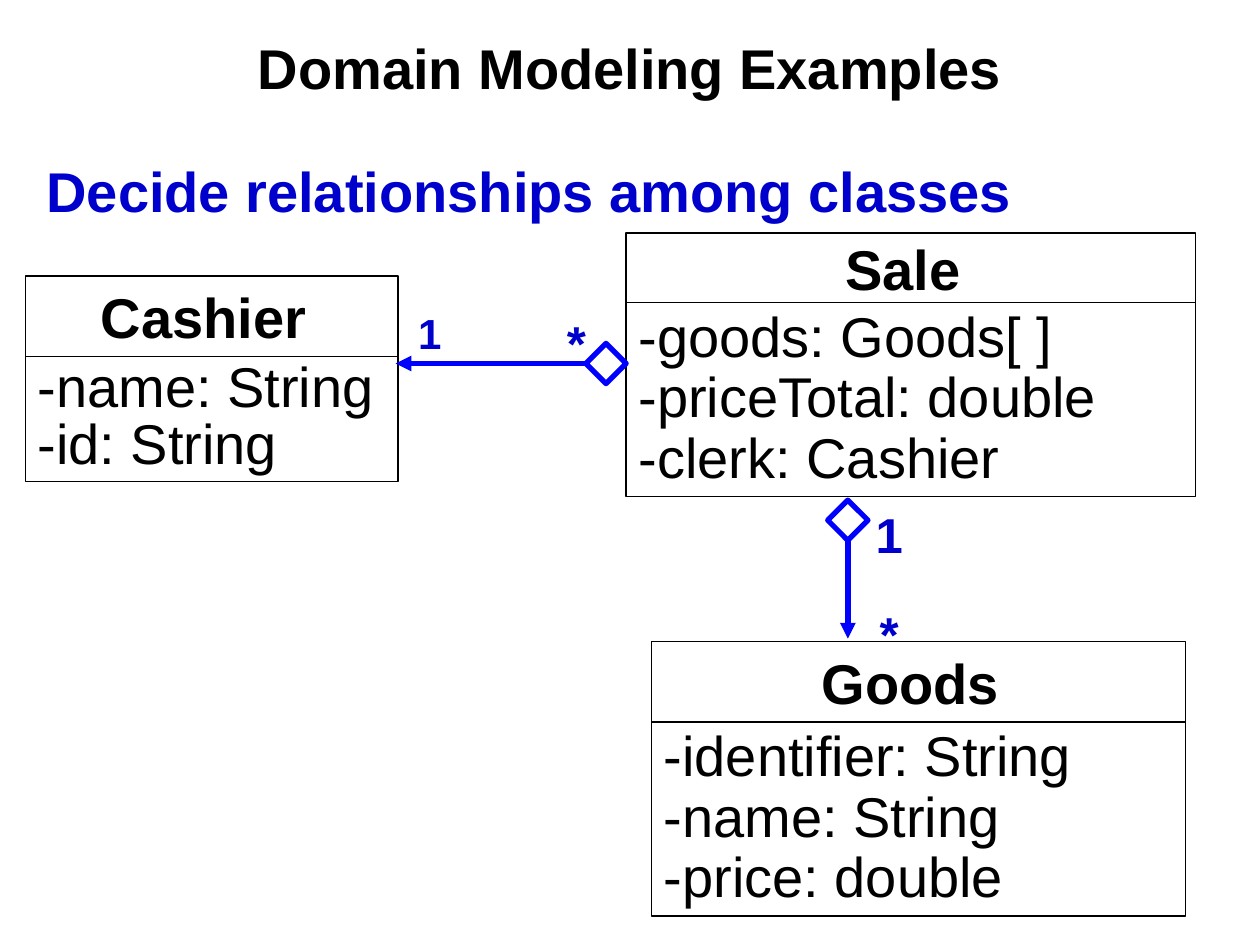
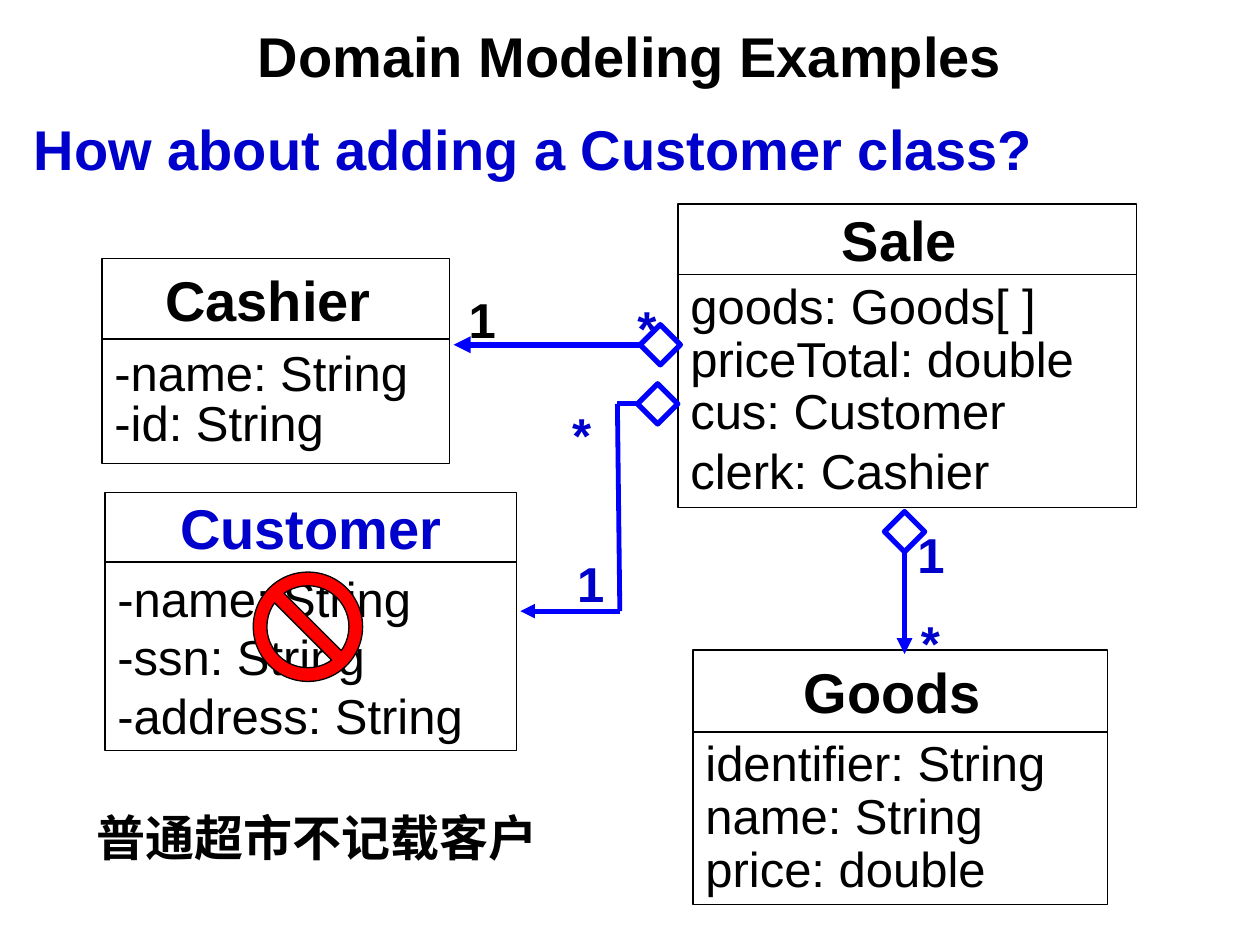
from dataclasses import dataclass
from itertools import pairwise

from lxml.etree import SubElement
from pptx import Presentation
from pptx.dml.color import RGBColor
from pptx.enum.shapes import MSO_CONNECTOR, MSO_SHAPE
from pptx.enum.text import MSO_ANCHOR, PP_ALIGN
from pptx.oxml.ns import qn
from pptx.util import Pt

BLACK = RGBColor(0x00, 0x00, 0x00)
WHITE = RGBColor(0xFF, 0xFF, 0xFF)
NAVY = RGBColor(0x00, 0x00, 0xCC)
BLUE = RGBColor(0x00, 0x00, 0xFF)
RED = RGBColor(0xFF, 0x00, 0x00)
FONT = "Arial"
CJK_FONT = "Noto Sans CJK SC"
DIAMOND = 23
LEFT, BOTTOM = 1, 2  # connection sites


@dataclass(frozen=True)
class ClassBox:
    name: str
    attributes: tuple[str, ...]
    left: float
    top: float
    width: float
    name_height: float
    body_height: float
    size: float = 32
    spacing: float = 0.9
    color: RGBColor = BLACK
    last_gap: float = 0


@dataclass(frozen=True)
class Label:
    text: str
    left: float
    top: float
    size: float = 28
    color: RGBColor = NAVY


@dataclass(frozen=True)
class Aggregation:
    """A diamond at left, top and a line from one of its corners through points."""
    left: float
    top: float
    site: int
    points: tuple[tuple[float, float], ...]
    labels: tuple[Label, ...]
    weight: float = 3


@dataclass(frozen=True)
class DiagramSlide:
    title_top: float
    heading: str
    heading_left: float
    heading_top: float
    boxes: tuple[ClassBox, ...]
    aggregations: tuple[Aggregation, ...]


SLIDES = (
    DiagramSlide(
        21.6, "Decide relationships among classes", 26.6, 89.4,
        (
            ClassBox("Cashier ", ("-name: String", "-id: String"),
                     14.4, 157.7, 213.1, 46.1, 71.3, spacing=0.85),
            ClassBox("Goods ", ("-identifier: String", "-name: String", "-price: double"),
                     372.2, 366.5, 305.3, 46.1, 110.9),
            ClassBox("Sale ", ("-goods: Goods[ ]", "-priceTotal: double", "-clerk: Cashier"),
                     357.8, 133.2, 325.4, 39.6, 110.9),
        ),
        (
            Aggregation(334.8, 196.2, LEFT, ((226.1, 207.7),),
                        (Label("1", 239, 175.7, size=24), Label("*", 324, 178.6))),
            Aggregation(473, 285.8, BOTTOM, ((484.5, 365),),
                        (Label("1", 500.4, 288), Label("*", 502.6, 344.9))),
        ),
    ),
    DiagramSlide(
        15.1, "How about adding a Customer class?", 19.4, 65.5,
        (
            ClassBox("Cashier ", ("-name: String", "-id: String"),
                     58.3, 147.6, 198.7, 46.1, 71.3, size=28, spacing=0.85),
            ClassBox("Goods ", ("identifier: String", "name: String", "price: double"),
                     396, 371.5, 236.9, 46.8, 98.6, size=28),
            ClassBox("Sale ",
                     ("goods: Goods[ ]", "priceTotal: double", "cus: Customer", "clerk: Cashier"),
                     387.4, 116.6, 262.1, 40.3, 133.2, size=28, last_gap=4),
            ClassBox("Customer", ("-name: String", "-ssn: String", "-address: String"),
                     60, 281.5, 235.4, 39.6, 108, size=28, spacing=1, color=NAVY),
        ),
        (
            Aggregation(365.8, 185.5, LEFT, ((259.2, 197),),
                        (Label("1", 267.8, 165.6, color=BLACK), Label("*", 364.3, 169.9)), 3.25),
            Aggregation(364.3, 219.3, LEFT, ((352.8, 230.8), (354.2, 349.2), (297.4, 349.2)),
                        (Label("*", 326.9, 231.1), Label("1", 329.8, 316.1)), 2.75),
            Aggregation(505.4, 292.3, BOTTOM, ((516.9, 373.7),),
                        (Label("1", 524.2, 299.5), Label("*", 526.3, 349.9))),
        ),
    ),
)


def write(sp, lines: tuple[str, ...], *, size: float = 32, color: RGBColor = BLACK,
          bold: bool = False, font: str = FONT, align=PP_ALIGN.LEFT,
          anchor=MSO_ANCHOR.MIDDLE, inset: tuple[float, float] = (0, 0),
          spacing: float = 1, wrap: bool = True, last_gap: float = 0) -> None:
    tf = sp.text_frame
    tf.word_wrap = wrap
    tf.vertical_anchor = anchor
    tf.margin_left = tf.margin_right = Pt(inset[0])
    tf.margin_top = tf.margin_bottom = Pt(inset[1])
    for i, line in enumerate(lines):
        p = tf.paragraphs[0] if i == 0 else tf.add_paragraph()
        p.alignment = align
        p.line_spacing = spacing
        r = p.add_run()
        r.text = line
        r.font.size = Pt(size)
        r.font.bold = bold
        r.font.name = font
        r.font.color.rgb = color
        SubElement(r._r.get_or_add_rPr(), qn("a:ea"), typeface=font)
    if last_gap:
        p.space_before = Pt(last_gap)


def add_text(slide, text: str, left: float, top: float, width: float, height: float,
             **style) -> None:
    sp = slide.shapes.add_textbox(Pt(left), Pt(top), Pt(width), Pt(height))
    write(sp, (text,), **style)


def add_outlined(slide, kind, left: float, top: float, width: float, height: float,
                 fill: RGBColor | None = None, line: RGBColor = BLACK, weight: float = 0.75):
    sp = slide.shapes.add_shape(kind, Pt(left), Pt(top), Pt(width), Pt(height))
    sp.shadow.inherit = False
    if fill is None:
        sp.fill.background()
    else:
        sp.fill.solid()
        sp.fill.fore_color.rgb = fill
    sp.line.color.rgb = line
    sp.line.width = Pt(weight)
    return sp


def add_class_box(slide, box: ClassBox) -> None:
    head = add_outlined(slide, MSO_SHAPE.RECTANGLE, box.left, box.top,
                        box.width, box.name_height)
    write(head, (box.name,), color=box.color, bold=True, align=PP_ALIGN.CENTER,
          inset=(7.2, 3.6), wrap=False)
    body = add_outlined(slide, MSO_SHAPE.RECTANGLE, box.left, box.top + box.name_height,
                        box.width, box.body_height)
    write(body, box.attributes, size=box.size, inset=(7.2, 3.6),
          spacing=box.spacing, last_gap=box.last_gap)


def add_aggregation(slide, agg: Aggregation) -> None:
    diamond = add_outlined(slide, MSO_SHAPE.DIAMOND, agg.left, agg.top, DIAMOND, DIAMOND,
                           WHITE, BLUE, 3)
    half = DIAMOND / 2
    dx, dy = (0, half) if agg.site == LEFT else (half, DIAMOND)
    route = ((agg.left + dx, agg.top + dy), *agg.points)
    for i, (start, end) in enumerate(pairwise(route)):
        line = slide.shapes.add_connector(MSO_CONNECTOR.STRAIGHT, *map(Pt, start + end))
        if i == 0:
            line.begin_connect(diamond, agg.site)
        line.line.color.rgb = BLUE
        line.line.width = Pt(agg.weight)
        SubElement(line._element.spPr, qn("a:effectLst"))
    SubElement(line.line._get_or_add_ln(), qn("a:tailEnd"), type="triangle")
    for label in agg.labels:
        add_text(slide, label.text, label.left, label.top, 20, 34, size=label.size,
                 color=label.color, bold=True, anchor=MSO_ANCHOR.TOP)


def add_diagram_slide(prs, content: DiagramSlide):
    slide = prs.slides.add_slide(prs.slide_layouts[6])
    add_text(slide, "Domain Modeling Examples", 36, content.title_top, 648, 33.1,
             bold=True, align=PP_ALIGN.CENTER)
    add_text(slide, content.heading, content.heading_left, content.heading_top, 584, 38,
             color=NAVY, bold=True)
    for box in content.boxes:
        add_class_box(slide, box)
    for agg in content.aggregations:
        add_aggregation(slide, agg)
    return slide


def reject_customer(slide) -> None:
    """Cross out the Customer class and say why."""
    sign = add_outlined(slide, MSO_SHAPE.NO_SYMBOL, 144.7, 326.9, 62.5, 62.5, RED)
    sign.adjustments[0] = 0.125
    add_text(slide, "普通超市不记载客户", 48.2, 463, 278, 36, size=28, bold=True,
             font=CJK_FONT, anchor=MSO_ANCHOR.TOP, inset=(7.2, 3.6), spacing=0.85)


def main() -> None:
    prs = Presentation()
    prs.slide_width, prs.slide_height = Pt(720), Pt(540)
    slides = [add_diagram_slide(prs, content) for content in SLIDES]
    reject_customer(slides[-1])
    prs.save("out.pptx")


if __name__ == "__main__":
    main()
